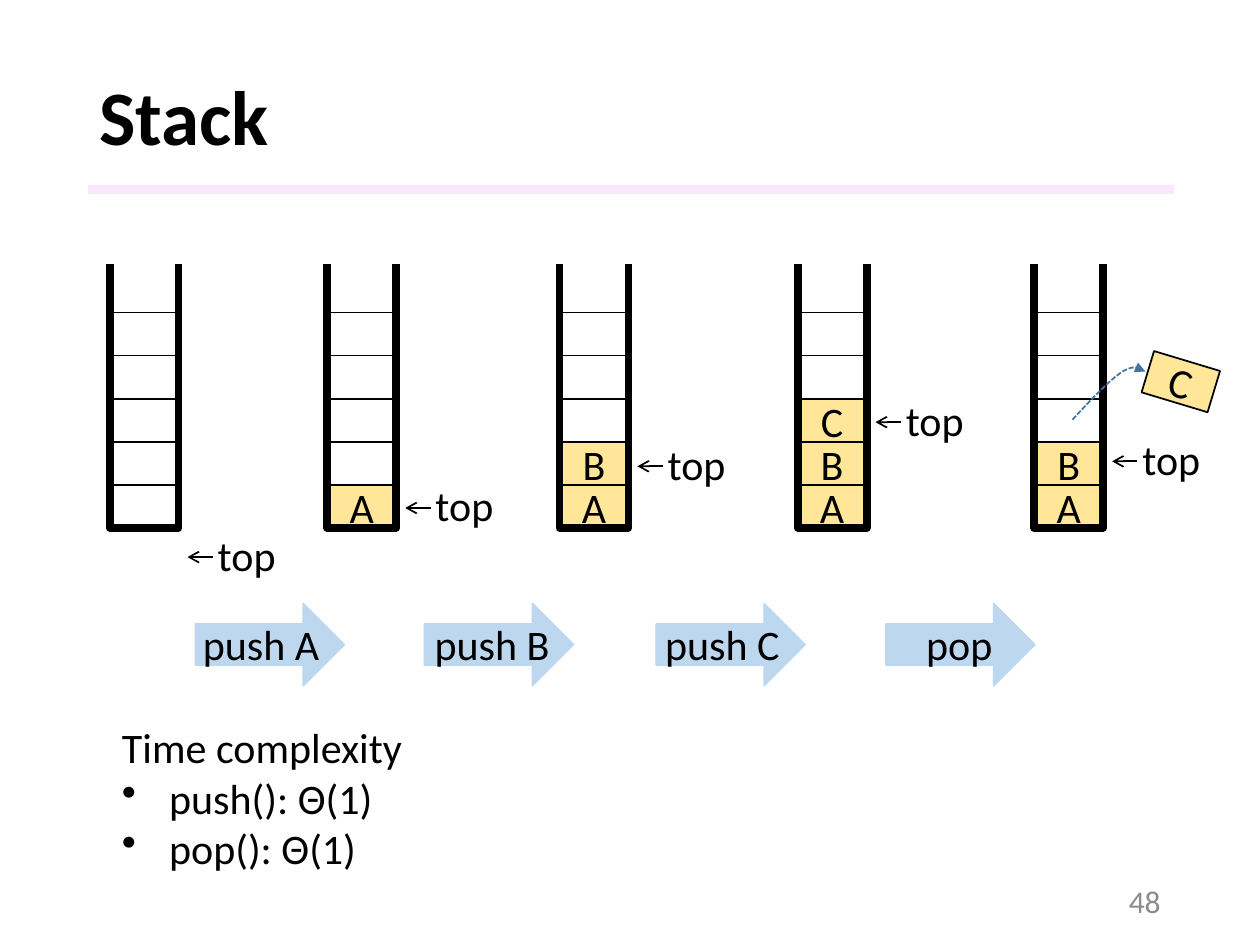
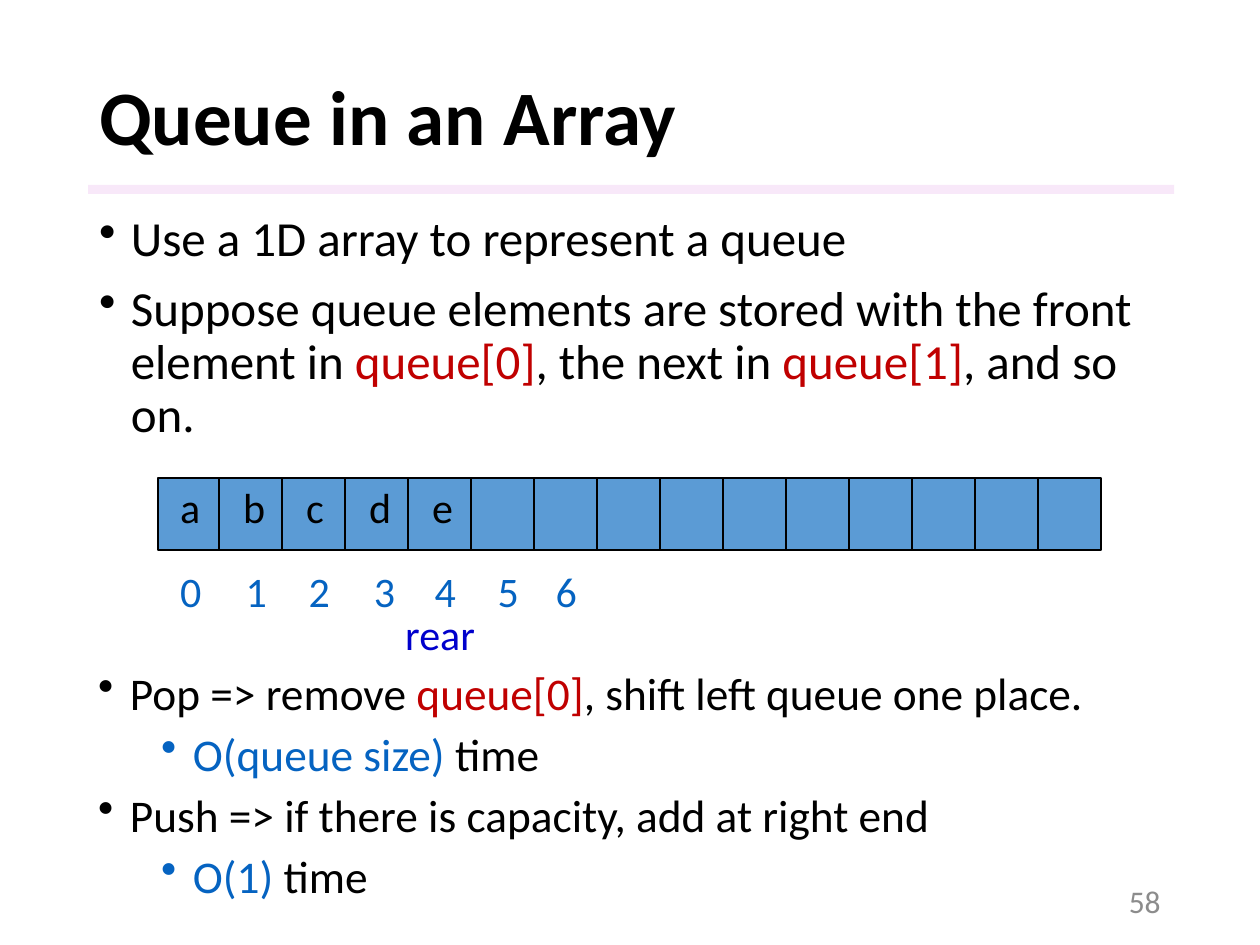
from dataclasses import dataclass

from lxml.etree import SubElement
from pptx import Presentation
from pptx.dml.color import RGBColor
from pptx.enum.dml import MSO_LINE
from pptx.enum.shapes import MSO_CONNECTOR, MSO_SHAPE
from pptx.enum.text import MSO_ANCHOR, MSO_AUTO_SIZE, PP_ALIGN
from pptx.oxml.ns import qn
from pptx.util import Cm, Pt


@dataclass(frozen=True)
class Theme:
    font: str = "Calibri"
    black: RGBColor = RGBColor(0x00, 0x00, 0x00)
    white: RGBColor = RGBColor(0xFF, 0xFF, 0xFF)
    gray: RGBColor = RGBColor(0x8C, 0x8C, 0x8C)
    band: RGBColor = RGBColor(0xF3, 0xD2, 0xF4)
    item: RGBColor = RGBColor(0xFF, 0xE6, 0x99)
    operation: RGBColor = RGBColor(0xBD, 0xD7, 0xEE)
    array: RGBColor = RGBColor(0x5B, 0x9B, 0xD5)
    path_blue: RGBColor = RGBColor(0x43, 0x73, 0x9E)
    red: RGBColor = RGBColor(0xC0, 0x00, 0x00)
    blue: RGBColor = RGBColor(0x05, 0x63, 0xC1)
    rear: RGBColor = RGBColor(0x00, 0x00, 0xCC)
    title_size: float = 44
    body_size: float = 28
    cost_size: float = 25.9
    label_size: float = 24
    number_size: float = 18


theme = Theme()


def add_text(page, area, lines, size=theme.label_size, color=theme.black, bold=False,
             align=PP_ALIGN.LEFT, anchor=MSO_ANCHOR.TOP, wrap=False,
             hang=0.64, line_spacing=None, space_before=0):
    """Add a text box; a line is a string or (bullet level or None, [(text, color), ...])."""
    box = page.shapes.add_textbox(*map(Cm, area))
    frame = box.text_frame
    frame.word_wrap = wrap
    frame.auto_size = MSO_AUTO_SIZE.NONE if wrap else MSO_AUTO_SIZE.SHAPE_TO_FIT_TEXT
    frame.vertical_anchor = anchor
    for index, line in enumerate(lines):
        level, spans = (None, [(line, color)]) if isinstance(line, str) else line
        para = frame.add_paragraph() if index else frame.paragraphs[0]
        if level is not None:
            properties = para._p.get_or_add_pPr()
            properties.set("marL", str(Cm(hang + 1.27 * level)))
            properties.set("indent", str(-Cm(hang)))
            SubElement(properties, qn("a:buChar"), char="•")
            para.level = level
        para.alignment = align
        para.line_spacing = line_spacing
        if index and space_before:
            para.space_before = Pt(space_before)
        for text, span_color in spans:
            span = para.add_run()
            span.text = text
            span.font.name = theme.font
            span.font.size = Pt(size)
            span.font.bold = bold
            span.font.color.rgb = span_color


def add_block(page, kind, area, fill, line=None, text=""):
    block = page.shapes.add_shape(kind, *map(Cm, area))
    block.shadow.inherit = False
    block.fill.solid()
    block.fill.fore_color.rgb = fill
    if line is None:
        block.line.fill.background()
    else:
        block.line.color.rgb = line
        block.line.width = Pt(1)
    if text:
        block.text_frame.text = text
        block.text_frame.vertical_anchor = MSO_ANCHOR.MIDDLE
        para = block.text_frame.paragraphs[0]
        para.alignment = PP_ALIGN.CENTER
        font = para.runs[0].font
        font.name = theme.font
        font.size = Pt(theme.label_size)
        font.color.rgb = theme.black
    return block


deck = Presentation()
deck.slide_width = Cm(25.4)
deck.slide_height = Cm(19.05)

# Band, title and slide number on every page
pages = []
for title, number in (("Stack", "48"), ("Queue in an Array", "58")):
    page = deck.slides.add_slide(deck.slide_layouts[6])
    band = add_block(page, MSO_SHAPE.RECTANGLE, (1.78, 3.73, 21.89, 0.18), theme.band)
    band_color = band._element.spPr.find(qn("a:solidFill"))[0]
    SubElement(band_color, qn("a:alpha"), val="50000")
    add_text(page, (1.75, 1.02, 21.89, 2.82), [title], theme.title_size, bold=True,
             anchor=MSO_ANCHOR.MIDDLE, wrap=True, line_spacing=0.9)
    add_text(page, (17.93, 17.65, 5.72, 1.02), [number], theme.number_size, theme.gray,
             align=PP_ALIGN.RIGHT, anchor=MSO_ANCHOR.MIDDLE, wrap=True)
    pages.append(page)
stack_page, queue_page = pages

# Stack states: left edge, items from the bottom up, height of the top pointer
slot_count, slot_width, slot_height = 5, 1.39, 0.87
wall_top, wall_bottom = 5.33, 10.64
stack_states = (
    (2.21, "", 11.23),
    (6.6, "A", 10.24),
    (11.28, "AB", 9.4),
    (16.08, "ABC", 8.51),
    (20.85, "AB", 9.3),
)
for left, items, pointer_y in stack_states:
    for slot in range(slot_count):
        item = items[slot:slot + 1]
        slot_top = 6.3 + slot_height * (slot_count - 1 - slot)
        add_block(stack_page, MSO_SHAPE.RECTANGLE, (left, slot_top, slot_width, slot_height),
                  theme.item if item else theme.white, theme.black, item)

    right = left + slot_width
    outline = stack_page.shapes.build_freeform(Cm(left), Cm(wall_top))
    outline.add_line_segments(
        [(Cm(left), Cm(wall_bottom)), (Cm(right), Cm(wall_bottom)), (Cm(right), Cm(wall_top))],
        close=False)
    walls = outline.convert_to_shape()
    walls.shadow.inherit = False
    walls.fill.background()
    walls.line.color.rgb = theme.black
    walls.line.width = Pt(4.5)

    pointer_x = left + 2.08
    pointer = stack_page.shapes.add_connector(
        MSO_CONNECTOR.STRAIGHT, Cm(pointer_x), Cm(pointer_y), Cm(pointer_x - 0.51), Cm(pointer_y))
    SubElement(pointer.line._get_or_add_ln(), qn("a:tailEnd"), type="arrow")
    add_text(stack_page, (pointer_x - 0.15, pointer_y - 0.69, 1.68, 1.27), ["top"])

# Operations between the states
operations = (
    ("push A", 3.94, 3.84, 2.87),
    ("push B", 8.56, 8.51, 2.84),
    ("push C", 13.23, 13.16, 2.84),
    ("pop", 17.86, 18.42, 1.85),
)
for operation, arrow_left, label_left, label_width in operations:
    add_block(stack_page, MSO_SHAPE.RIGHT_ARROW, (arrow_left, 12.17, 3, 1.65),
              theme.operation, theme.operation)
    add_text(stack_page, (label_left, 12.34, label_width, 1.27), [operation])

# The popped item and its curved way out
popped = add_block(stack_page, MSO_SHAPE.RECTANGLE, (23.11, 7.26, slot_width, slot_height),
                   theme.item, theme.black, "C")
popped.rotation = 16.8

pop_curves = (
    ((21.62, 8.46), (22, 8.05), (22.38, 7.65), (22.63, 7.49)),
    ((22.63, 7.49), (22.89, 7.34), (22.99, 7.42), (23.09, 7.49)),
)
steps = 10
pop_points = []
for curve in pop_curves:
    for step in range(1, steps + 1):
        t = step / steps
        weights = ((1 - t) ** 3, 3 * t * (1 - t) ** 2, 3 * t ** 2 * (1 - t), t ** 3)
        pop_points.append(tuple(
            Cm(sum(weight * point[axis] for weight, point in zip(weights, curve)))
            for axis in (0, 1)))
pop_outline = stack_page.shapes.build_freeform(*map(Cm, pop_curves[0][0]))
pop_outline.add_line_segments(pop_points, close=False)
pop_path = pop_outline.convert_to_shape()
pop_path.shadow.inherit = False
pop_path.fill.background()
pop_path.line.color.rgb = theme.path_blue
pop_path.line.width = Pt(1)
pop_path.line.dash_style = MSO_LINE.SQUARE_DOT
SubElement(pop_path.line._get_or_add_ln(), qn("a:tailEnd"), type="triangle")

add_text(stack_page, (2.21, 14.43, 6.2, 3.33), [
    "Time complexity",
    (0, [("push(): Θ(1)", theme.black)]),
    (0, [("pop(): Θ(1)", theme.black)]),
], hang=0.95)

# Queue description
add_text(queue_page, (1.75, 4.19, 21.89, 5.03), [
    (0, [("Use a 1D array to represent a queue", theme.black)]),
    (0, [("Suppose queue elements are stored with the front element in ", theme.black),
         ("queue[0]", theme.red),
         (", the next in ", theme.black),
         ("queue[1]", theme.red),
         (", and so on.", theme.black)]),
], theme.body_size, wrap=True, line_spacing=0.9, space_before=10)

add_text(queue_page, (1.73, 13.49, 21.89, 5.03), [
    (0, [("Pop => remove ", theme.black),
         ("queue[0]", theme.red),
         (", shift left queue one place.", theme.black)]),
    (1, [("O(queue size)", theme.blue), (" time", theme.black)]),
    (0, [("Push => if there is capacity, add at right end", theme.black)]),
    (1, [("O(1)", theme.blue), (" time", theme.black)]),
], theme.cost_size, wrap=True, line_spacing=0.8, space_before=10)

# Queue array with its cells, items and indices
cell_count, cell_width = 15, 1.27
array_top, array_height = 9.63, 1.46
add_block(queue_page, MSO_SHAPE.RECTANGLE, (3.18, array_top, 19.02, array_height),
          theme.array, theme.black)
for cell in range(cell_count - 1):
    divider_x = Cm(4.42 + cell * cell_width)
    queue_page.shapes.add_connector(MSO_CONNECTOR.STRAIGHT, divider_x, Cm(array_top),
                                    divider_x, Cm(array_top + array_height))
for cell, item in enumerate("abcde"):
    add_text(queue_page, (3.38 + cell * cell_width, 9.58, 0.92, 1.27), [item])
for index, left in enumerate((3.38, 4.7, 5.97, 7.29, 8.51, 9.78, 10.95)):
    add_text(queue_page, (left, 11.28, 0.94, 1.27), [str(index)], color=theme.blue)
add_text(queue_page, (7.92, 12.14, 1.93, 1.27), ["rear"], color=theme.rear)

# All connectors are thin black lines without a shadow
for page in pages:
    for connector in page.shapes:
        if connector._element.tag == qn("p:cxnSp"):
            connector.line.color.rgb = theme.black
            connector.line.width = Pt(1)
            SubElement(connector._element.spPr, qn("a:effectLst"))

deck.save("out.pptx")
